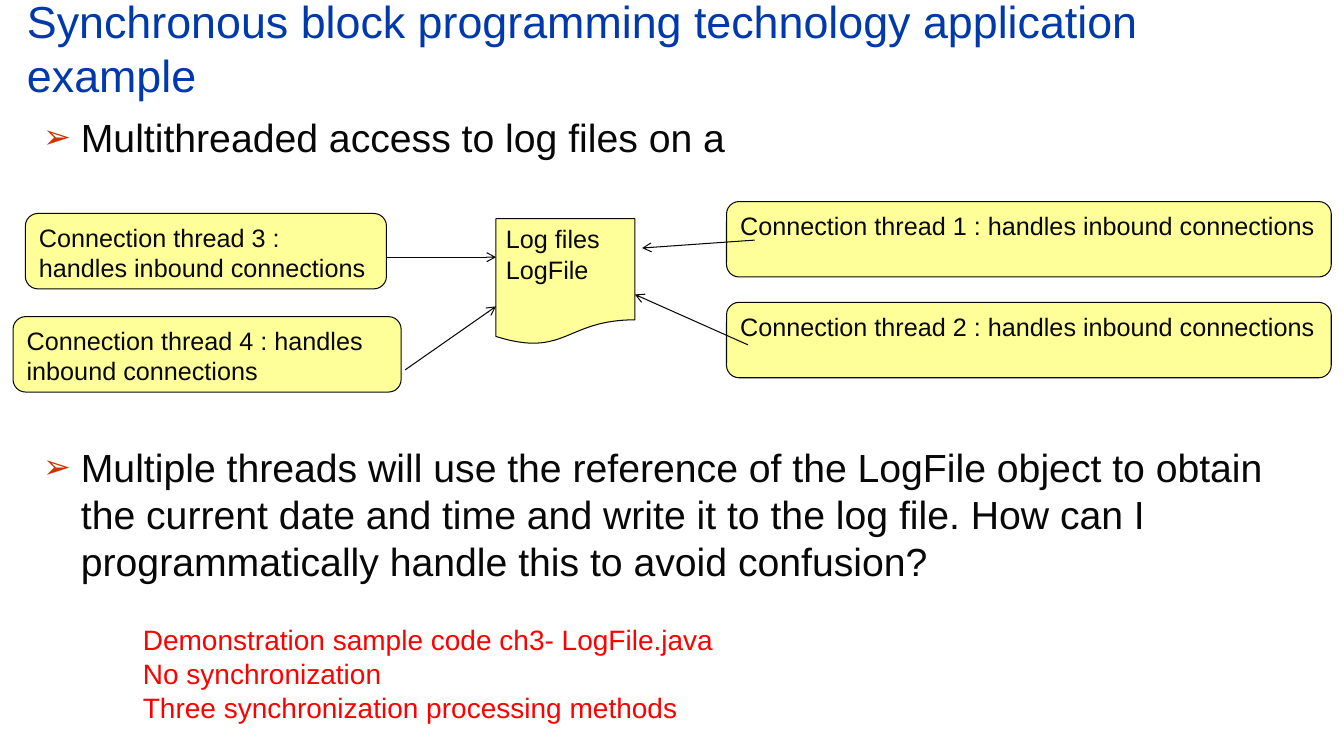
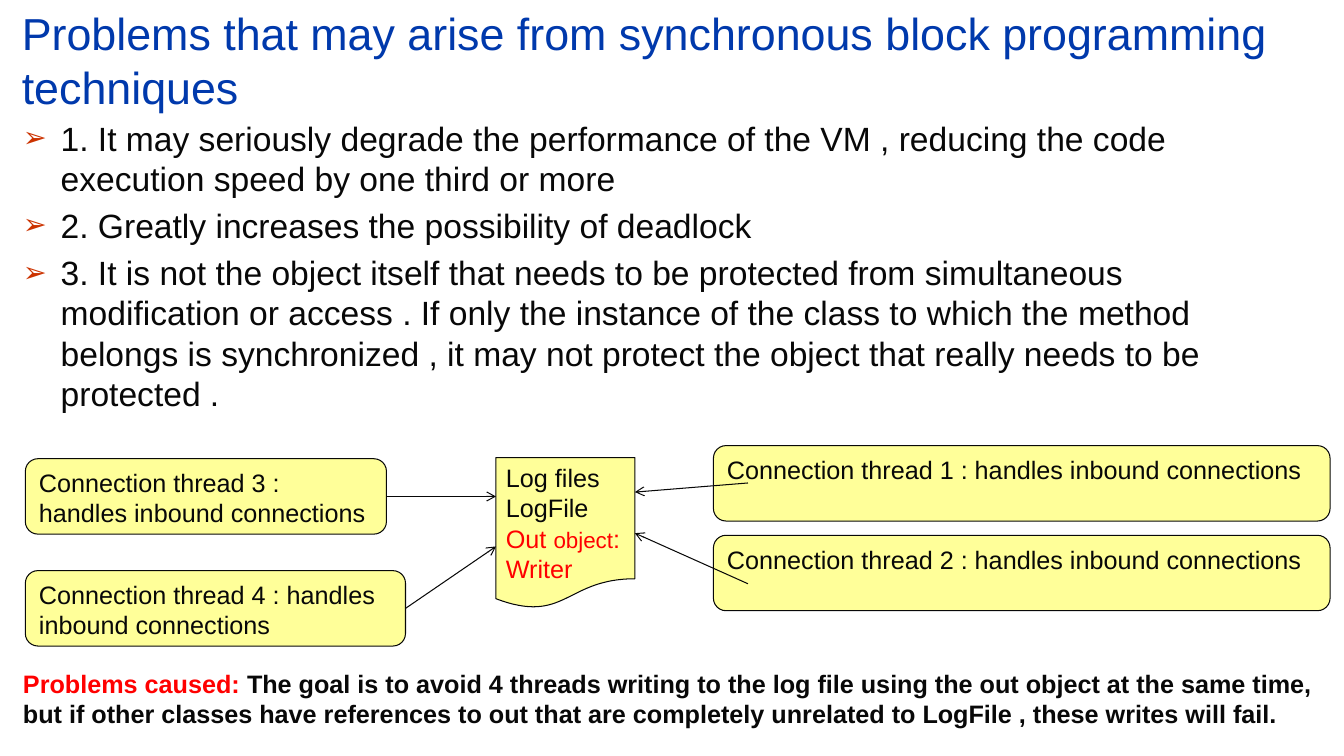
from dataclasses import dataclass
from typing import NamedTuple, Optional

from lxml import etree
from pptx import Presentation
from pptx.dml.color import RGBColor
from pptx.enum.shapes import MSO_CONNECTOR, MSO_SHAPE
from pptx.enum.text import MSO_ANCHOR, PP_ALIGN
from pptx.oxml.ns import qn
from pptx.util import Cm, Pt

STRAIGHT = MSO_CONNECTOR.STRAIGHT
ROUNDED = MSO_SHAPE.ROUNDED_RECTANGLE
DOCUMENT = MSO_SHAPE.FLOWCHART_DOCUMENT
TOP, MIDDLE = MSO_ANCHOR.TOP, MSO_ANCHOR.MIDDLE
LEFT = PP_ALIGN.LEFT
LEFT_SIDE, RIGHT_SIDE = 1, 3


@dataclass(frozen=True)
class Theme:
    font: str = "Arial"
    title_color: str = "0039AC"
    text_color: str = "080808"
    accent: str = "FF0000"
    bullet_color: str = "CC3300"
    box_fill: str = "FFFF99"
    title_size: int = 32
    large_size: int = 28
    body_size: int = 24
    demo_size: int = 20
    label_size: int = 18
    small_size: int = 16
    line_width: float = 0.75
    bullet_indent: float = 0.95
    paragraph_gap: float = 0.2


THEME = Theme()


class Box(NamedTuple):
    left: float
    top: float
    width: float
    height: float


class Point(NamedTuple):
    x: float
    y: float


class Span(NamedTuple):
    text: str
    color: str = THEME.text_color
    size: int = THEME.label_size
    bold: bool = False


@dataclass(frozen=True)
class Thread:
    number: int
    box: Box
    start: Point
    end: Point
    joins_thread: bool = False
    document_side: Optional[int] = None


@dataclass(frozen=True)
class Diagram:
    document: Box
    document_lines: list[list[Span]]
    threads: list[Thread]


def write_lines(text_frame, lines: list[list[Span]]) -> None:
    text_frame.word_wrap = True
    text_frame.text = "\n".join("".join(span.text for span in line) for line in lines)
    for paragraph, line in zip(text_frame.paragraphs, lines):
        paragraph.alignment = LEFT
        paragraph.runs[0].text = line[0].text
        for span in line[1:]:
            paragraph.add_run().text = span.text
        for run, span in zip(paragraph.runs, line):
            run.font.name = THEME.font
            run.font.size = Pt(span.size)
            run.font.bold = span.bold
            run.font.color.rgb = RGBColor.from_string(span.color)


def add_text(slide, box: Box, lines: list[list[Span]], anchor=TOP):
    shape = slide.shapes.add_textbox(*map(Cm, box))
    shape.text_frame.vertical_anchor = anchor
    write_lines(shape.text_frame, lines)
    return shape


def add_title(slide, box: Box, text: str) -> None:
    add_text(slide, box, [[Span(text, THEME.title_color, THEME.title_size)]], MIDDLE)


def add_bullets(slide, box: Box, texts: list[str], size: int) -> None:
    shape = add_text(slide, box, [[Span(text, size=size)] for text in texts])
    for index, paragraph in enumerate(shape.text_frame.paragraphs):
        properties = paragraph._p.get_or_add_pPr()
        indent = Cm(THEME.bullet_indent)
        properties.set("marL", str(indent))
        properties.set("indent", str(-indent))
        if index:
            paragraph.space_before = Pt(THEME.paragraph_gap * size)
        color = etree.SubElement(properties, qn("a:buClr"))
        etree.SubElement(color, qn("a:srgbClr"), val=THEME.bullet_color)
        etree.SubElement(properties, qn("a:buSzPct"), val="85000")
        etree.SubElement(properties, qn("a:buFont"), typeface=THEME.font)
        etree.SubElement(properties, qn("a:buChar"), char="➢")


def add_box(slide, kind, box: Box, lines: list[list[Span]]):
    shape = slide.shapes.add_shape(kind, *map(Cm, box))
    shape.shadow.inherit = False
    shape.fill.solid()
    shape.fill.fore_color.rgb = RGBColor.from_string(THEME.box_fill)
    shape.line.color.rgb = RGBColor.from_string(THEME.text_color)
    shape.line.width = Pt(THEME.line_width)
    shape.text_frame.vertical_anchor = TOP
    write_lines(shape.text_frame, lines)
    return shape


def add_arrow(slide, start: Point, end: Point):
    connector = slide.shapes.add_connector(STRAIGHT, *map(Cm, start + end))
    connector.line.color.rgb = RGBColor.from_string(THEME.text_color)
    connector.line.width = Pt(THEME.line_width)
    etree.SubElement(connector.line._get_or_add_ln(), qn("a:tailEnd"), type="arrow")
    etree.SubElement(connector._element.spPr, qn("a:effectLst"))
    return connector


def add_diagram(slide, diagram: Diagram) -> None:
    document = add_box(slide, DOCUMENT, diagram.document, diagram.document_lines)
    for thread in diagram.threads:
        label = f"Connection thread {thread.number} : handles inbound connections"
        thread_box = add_box(slide, ROUNDED, thread.box, [[Span(label)]])
        arrow = add_arrow(slide, thread.start, thread.end)
        if thread.joins_thread:
            arrow.begin_connect(thread_box, RIGHT_SIDE)
        if thread.document_side is not None:
            arrow.end_connect(document, thread.document_side)


LOG_FILE_LINES = [[Span("Log files")], [Span("LogFile")]]

ACCESS_DIAGRAM = Diagram(
    Box(12.5, 5.51, 3.5, 3.18),
    LOG_FILE_LINES,
    [
        Thread(1, Box(18.31, 5.08, 15.24, 1.9), Point(19.02, 6.05), Point(16.18, 6.25)),
        Thread(2, Box(18.31, 7.62, 15.24, 1.9), Point(18.85, 8.69), Point(16, 7.42)),
        Thread(3, Box(0.64, 5.38, 9.1, 1.9), Point(9.74, 6.48), Point(12.5, 6.48)),
        Thread(4, Box(0.33, 7.98, 9.78, 1.9), Point(10.21, 9.32), Point(12.5, 7.72)),
    ],
)

PROBLEM_DIAGRAM = Diagram(
    Box(12.5, 11.53, 3.5, 3.81),
    LOG_FILE_LINES
    + [
        [
            Span("Out ", THEME.accent),
            Span("object", THEME.accent, THEME.small_size),
            Span(": Writer", THEME.accent),
        ]
    ],
    [
        Thread(1, Box(17.98, 11.23, 15.54, 1.9), Point(18.85, 12.17), Point(16, 12.4)),
        Thread(2, Box(17.98, 13.49, 15.54, 1.9), Point(18.85, 14.71), Point(16, 13.44),
               document_side=RIGHT_SIDE),
        Thread(3, Box(0.64, 11.56, 9.1, 1.9), Point(9.74, 12.51), Point(12.5, 12.51),
               joins_thread=True),
        Thread(4, Box(0.64, 14.38, 9.58, 1.9), Point(10.22, 15.33), Point(12.5, 13.77),
               joins_thread=True),
    ],
)


def build_example(slide) -> None:
    add_title(slide, Box(0.43, -0.05, 33.02, 2.51),
              "Synchronous block programming technology application example")
    add_bullets(slide, Box(0.84, 2.74, 32.18, 1.5),
                ["Multithreaded access to log files on a"], THEME.large_size)
    add_bullets(
        slide,
        Box(0.84, 11.05, 32.18, 4.2),
        ["Multiple threads will use the reference of the LogFile object to obtain "
         "the current date and time and write it to the log file. How can I "
         "programmatically handle this to avoid confusion?"],
        THEME.large_size,
    )
    demo_lines = [
        "Demonstration sample code ch3- LogFile.java",
        "No synchronization",
        "Three synchronization processing methods",
    ]
    add_text(slide, Box(3.35, 15.57, 20.52, 2.82),
             [[Span(line, THEME.accent, THEME.demo_size)] for line in demo_lines])
    add_diagram(slide, ACCESS_DIAGRAM)


def build_problems(slide) -> None:
    add_title(slide, Box(0.3, 0.28, 33.22, 2.46),
              "Problems that may arise from synchronous block programming techniques")
    add_bullets(
        slide,
        Box(0.33, 2.84, 32.59, 8),
        [
            "1. It may seriously degrade the performance of the VM , reducing the code "
            "execution speed by one third or more",
            "2. Greatly increases the possibility of deadlock",
            "3. It is not the object itself that needs to be protected from simultaneous "
            "modification or access . If only the instance of the class to which the "
            "method belongs is synchronized , it may not protect the object that really "
            "needs to be protected .",
        ],
        THEME.body_size,
    )
    add_diagram(slide, PROBLEM_DIAGRAM)
    add_text(
        slide,
        Box(0.33, 16.71, 33.2, 1.8),
        [[
            Span("Problems caused: ", THEME.accent, bold=True),
            Span("The goal is to avoid 4 threads writing to the log file using the out "
                 "object at the same time, but if other classes have references to out "
                 "that are completely unrelated to LogFile , these writes will fail.",
                 bold=True),
        ]],
    )


def main() -> None:
    presentation = Presentation()
    presentation.slide_width = Cm(33.87)
    presentation.slide_height = Cm(19.05)
    blank_layout = presentation.slide_layouts[6]
    for build in (build_example, build_problems):
        build(presentation.slides.add_slide(blank_layout))
    presentation.save("out.pptx")


if __name__ == "__main__":
    main()
